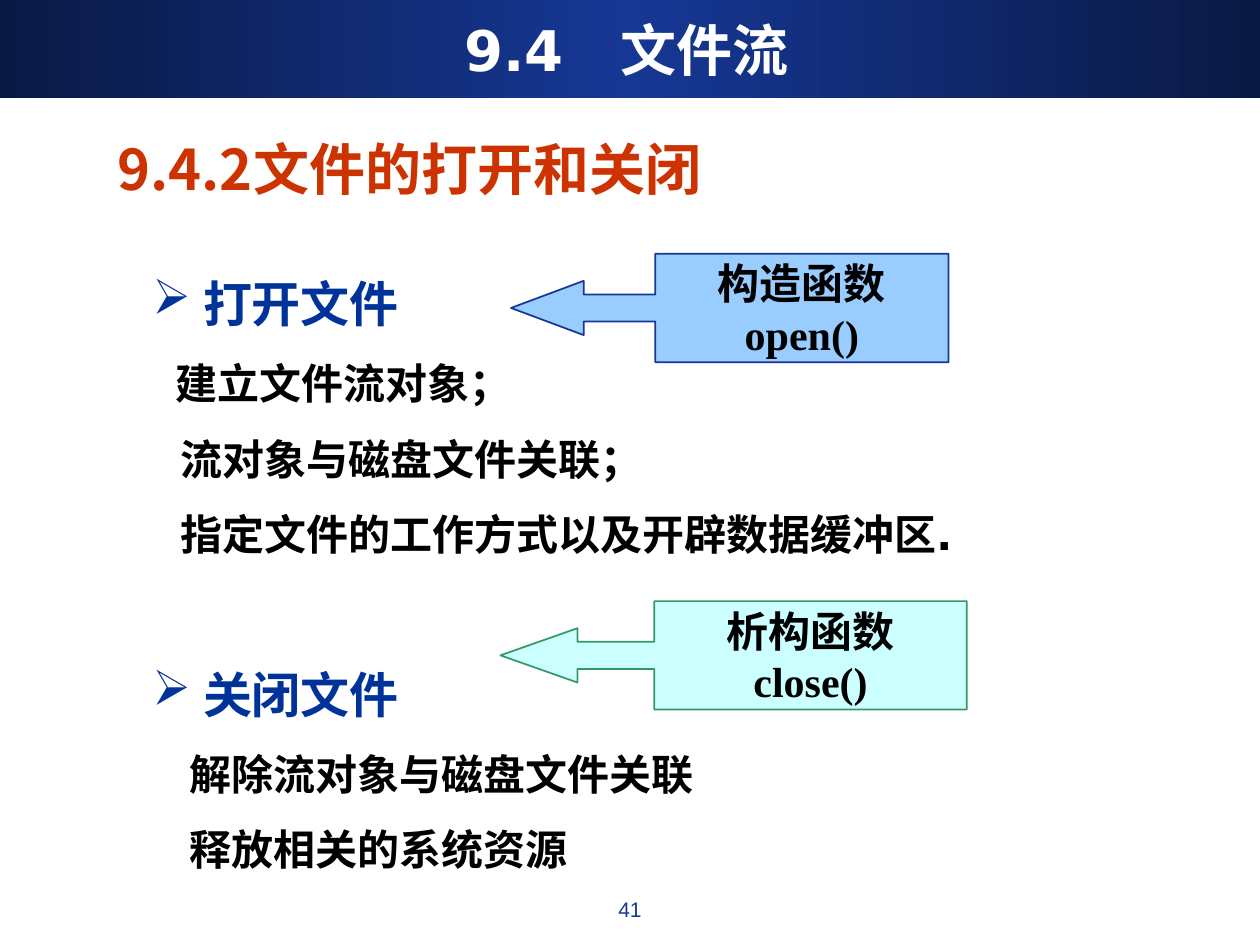
from copy import deepcopy

from lxml import etree
from pptx import Presentation
from pptx.dml.color import RGBColor
from pptx.enum.shapes import MSO_SHAPE
from pptx.enum.text import MSO_ANCHOR, PP_ALIGN
from pptx.oxml.ns import qn
from pptx.util import Pt

CENTER, LEFT = PP_ALIGN.CENTER, PP_ALIGN.LEFT
MIDDLE, TOP = MSO_ANCHOR.MIDDLE, MSO_ANCHOR.TOP
CALLOUT, RECTANGLE = MSO_SHAPE.LEFT_ARROW_CALLOUT, MSO_SHAPE.RECTANGLE
CJK, SANS, SERIF, ARIAL = "Noto Sans CJK SC", "DejaVu Sans", "Times New Roman", "Arial"
COLORS = {
    "navy": "0A1944", "blue": "163794", "heading": "003399", "red": "CC3300",
    "white": "FFFFFF", "black": "000000", "sky": "99CCFF", "aqua": "CCFFFF",
    "green": "339966",
}


def write(para, text, font_name, size, color, bold=True, align=LEFT):
    """Put one run in the paragraph and style it, East Asian glyphs included."""
    para.alignment = align
    para.add_run().text = text
    font = para.font
    font.name, font.size, font.bold = font_name, Pt(size), bold
    font.color.rgb = RGBColor.from_string(COLORS[color])
    latin = para._p.pPr.find(qn("a:defRPr")).find(qn("a:latin"))
    latin.addnext(etree.Element(qn("a:ea"), typeface=CJK))


def add_box(page, left, top, width, height, anchor=MIDDLE):
    box = page.shapes.add_textbox(Pt(left), Pt(top), Pt(width), Pt(height))
    box.text_frame.word_wrap = True
    box.text_frame.vertical_anchor = anchor
    return box.text_frame


deck = Presentation()
deck.slide_width, deck.slide_height = Pt(720), Pt(540)
page = deck.slides.add_slide(deck.slide_layouts[6])

# Title band with a dark-bright-dark gradient
band = page.shapes.add_shape(RECTANGLE, 0, 0, Pt(720), Pt(56))
band.shadow.inherit = False
band.line.fill.background()
band.fill.gradient()
band.fill.gradient_angle = 0
stops = band.fill.gradient_stops
for stop, position, color in zip(stops, (0, 0.5), ("navy", "blue")):
    stop.position = position
    stop.color.rgb = RGBColor.from_string(COLORS[color])
stop_list = band._element.spPr.find(qn("a:gradFill")).find(qn("a:gsLst"))
last_stop = deepcopy(stop_list[0])
last_stop.set("pos", "100000")
stop_list.append(last_stop)

# Title, section heading and page number
title = add_box(page, 25, 6, 666, 44)
write(title.paragraphs[0], "9.4　文件流", SANS, 32, "white", align=CENTER)
section = add_box(page, 60, 72, 444, 48)
write(section.paragraphs[0], "9.4.2文件的打开和关闭", CJK, 32, "red")
number = add_box(page, 276, 509, 168, 25, TOP)
write(number.paragraphs[0], "41", ARIAL, 12, "blue", bold=False, align=CENTER)

# Body: (text, left indent), bulleted headings marked by the heading indent
HEADING_INDENT = 29
lines = [
    ("打开文件", HEADING_INDENT),
    ("建立文件流对象；", 13),
    ("流对象与磁盘文件关联；", 16),
    ("指定文件的工作方式以及开辟数据缓冲区.", 16),
    ("关闭文件", HEADING_INDENT),
    ("解除流对象与磁盘文件关联", 21),
    ("释放相关的系统资源", 21),
]
body = add_box(page, 80, 136, 520, 367, TOP)
for index, (text, indent) in enumerate(lines):
    para = body.paragraphs[0] if index == 0 else body.add_paragraph()
    is_heading = indent == HEADING_INDENT
    props = para._p.get_or_add_pPr()
    props.set("marL", str(Pt(indent)))
    if is_heading:
        props.set("indent", str(-Pt(indent)))
        bullet_color = etree.SubElement(props, qn("a:buClr"))
        etree.SubElement(bullet_color, qn("a:srgbClr"), val=COLORS["heading"])
        etree.SubElement(props, qn("a:buChar"), char="➢")
        write(para, text, CJK, 28, "heading")
    else:
        write(para, text, SANS, 24, "black")
    para.line_spacing = Pt(50.4 if is_heading else 43.2)
    if is_heading and index:
        para.space_before = Pt(43.2)

# Callouts pointing at the two headings
callouts = [
    (292, 145, 250, 0.67, "sky", "blue", ("构造函数", "open()")),
    (286, 343.5, 266.5, 0.71, "aqua", "green", ("析构函数", "close()")),
]
for left, top, width, head, fill, outline, labels in callouts:
    callout = page.shapes.add_shape(CALLOUT, Pt(left), Pt(top), Pt(width), Pt(62))
    callout.shadow.inherit = False
    for index, value in enumerate((0.25, 0.25, head, 0.67)):
        callout.adjustments[index] = value
    callout.fill.solid()
    callout.fill.fore_color.rgb = RGBColor.from_string(COLORS[fill])
    callout.line.color.rgb = RGBColor.from_string(COLORS[outline])
    callout.line.width = Pt(1)
    frame = callout.text_frame
    frame.word_wrap = False
    frame.vertical_anchor = MIDDLE
    for index, label in enumerate(labels):
        para = frame.paragraphs[0] if index == 0 else frame.add_paragraph()
        write(para, label, SERIF, 24, "black", align=CENTER)

deck.save("out.pptx")
